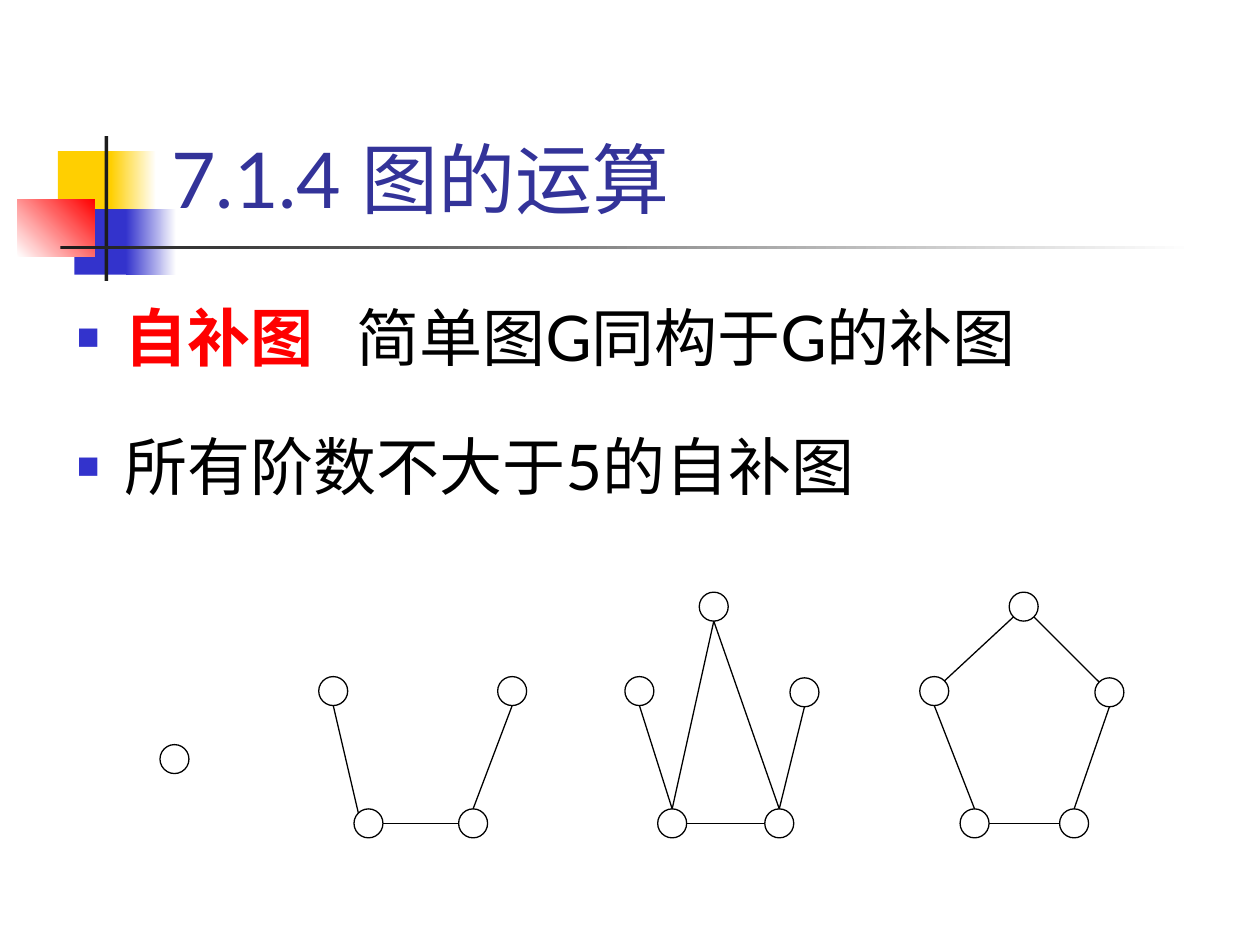
from dataclasses import dataclass

from lxml.etree import SubElement
from pptx import Presentation
from pptx.dml.color import RGBColor
from pptx.enum.shapes import MSO_CONNECTOR, MSO_SHAPE
from pptx.enum.text import MSO_ANCHOR, MSO_AUTO_SIZE, PP_ALIGN
from pptx.oxml.ns import qn
from pptx.util import Pt

SCALE = 9144  # EMU in one px, 100 px to the inch


@dataclass(frozen=True)
class Theme:
    font: str = "Lato"
    head: str = "333399"
    text: str = "000000"
    key: str = "FF0000"
    gold: str = "FFCF01"
    blue: str = "3333CC"
    dark: str = "1C1C1C"
    white: str = "FFFFFF"
    head_size: int = 44
    text_size: int = 36
    line: float = 0.75


THEME = Theme()
DOT = 23
# Points on the rim of a dot, as shares of its width and height
RIM = {
    "n": (0.5, 0), "s": (0.5, 1), "w": (0, 0.5), "e": (1, 0.5),
    "nw": (0.15, 0.15), "ne": (0.85, 0.15),
    "sw": (0.15, 0.85), "se": (0.85, 0.85),
}


def px(*nums):
    return [round(n * SCALE) for n in nums]


def tint(hue):
    return RGBColor.from_string(hue)


def shape(slide, kind, box):
    item = slide.shapes.add_shape(kind, *px(*box))
    item.shadow.inherit = False
    return item


def block(slide, box, *hues, angle=0):
    """Add a rectangle, plain for one hue and shaded for two."""
    item = shape(slide, MSO_SHAPE.RECTANGLE, box)
    item.line.fill.background()
    if len(hues) == 1:
        item.fill.solid()
        item.fill.fore_color.rgb = tint(hues[0])
        return
    item.fill.gradient()
    item.fill.gradient_angle = angle
    for stop, hue in zip(item.fill.gradient_stops, hues):
        stop.color.rgb = tint(hue)


def emblem(slide, left, top):
    t = THEME
    parts = [
        ((32, 12, 48, 52), (t.gold,), 0),
        ((74, 12, 36, 52), (t.gold, t.white), 0),
        ((45, 58, 46, 52), (t.blue,), 0),
        ((86, 58, 40, 52), (t.blue, t.white), 0),
        ((0, 50, 61, 46), (t.white, t.key), 45),
        ((69, 0, 3, 115), (t.dark,), 0),
        ((34, 87, 900, 3), (t.dark, t.white), 0),
    ]
    for (x, y, w, h), hues, angle in parts:
        block(slide, (left + x, top + y, w, h), *hues, angle=angle)


def place(holder, box, anchor):
    """Move a placeholder to the box, in front of what is drawn so far."""
    holder.left, holder.top, holder.width, holder.height = px(*box)
    holder._element.getparent().append(holder._element)
    frame = holder.text_frame
    frame.word_wrap = True
    frame.auto_size = MSO_AUTO_SIZE.NONE
    frame.vertical_anchor = anchor
    return frame


def write(para, text, size, hue, bold=False):
    run = para.add_run()
    run.text = text
    run.font.name = THEME.font
    run.font.size = Pt(size)
    run.font.bold = bold
    run.font.color.rgb = tint(hue)


def heading(slide, box, text):
    para = place(slide.shapes.title, box, MSO_ANCHOR.BOTTOM).paragraphs[0]
    para.alignment = PP_ALIGN.LEFT
    write(para, text, THEME.head_size, THEME.head)


def bullet(para):
    props = para._p.get_or_add_pPr()
    indent = px(38)[0]
    props.set("marL", str(indent))
    props.set("indent", str(-indent))
    color = SubElement(props, qn("a:buClr"))
    SubElement(color, qn("a:srgbClr"), val=THEME.blue)
    SubElement(props, qn("a:buSzPct"), val="60000")
    SubElement(props, qn("a:buChar"), char="■")


def points(slide, box, items):
    frame = place(slide.placeholders[1], box, MSO_ANCHOR.TOP)
    for i, runs in enumerate(items):
        para = frame.add_paragraph() if i else frame.paragraphs[0]
        bullet(para)
        para.line_spacing = 1.5
        para.space_before = Pt(9 if i else 0)
        for text, hue, bold in runs:
            write(para, text, THEME.text_size, hue, bold)


def stroke(line):
    line.color.rgb = tint(THEME.text)
    line.width = Pt(THEME.line)


def graph(slide, left, top, dots, links=()):
    """Draw named dots, and links given as (dot, rim point, dot, rim point)."""
    for x, y in dots.values():
        dot = shape(slide, MSO_SHAPE.OVAL, (left + x, top + y, DOT, DOT))
        dot.fill.solid()
        dot.fill.fore_color.rgb = tint(THEME.white)
        stroke(dot.line)

    def spot(name, side):
        x, y = dots[name]
        dx, dy = RIM[side]
        return px(left + x + dx * DOT, top + y + dy * DOT)

    for start, out, end, into in links:
        edge = slide.shapes.add_connector(
            MSO_CONNECTOR.STRAIGHT, *spot(start, out), *spot(end, into))
        stroke(edge.line)
        SubElement(edge._element.spPr, qn("a:effectLst"))


def graphs(slide, left, top):
    base = ("c", "e", "d", "w")
    graph(slide, left, top + 121, {"a": (0, 0)})
    graph(slide, left + 126, top + 67,
          {"a": (0, 0), "b": (142, 0), "c": (28, 105), "d": (111, 105)},
          [("a", "s", "c", "nw"), ("b", "s", "d", "n"), base])
    sides = [("a", "s", "c", "n"), ("b", "s", "d", "n"), base]
    graph(slide, left + 369, top,
          {"top": (59, 0), "a": (0, 67), "b": (131, 68),
           "c": (26, 172), "d": (111, 172)},
          sides + [("top", "s", "c", "n"), ("top", "s", "d", "n")])
    graph(slide, left + 603, top,
          {"top": (71, 0), "a": (0, 67), "b": (139, 68),
           "c": (32, 172), "d": (111, 172)},
          sides + [("top", "sw", "a", "ne"), ("top", "se", "b", "nw")])


def main():
    deck = Presentation()
    deck.slide_width, deck.slide_height = px(1000, 750)
    slide = deck.slides.add_slide(deck.slide_layouts[1])
    emblem(slide, 14, 108)
    heading(slide, (126, 23, 852, 160), "7.1.4 图的运算")
    points(slide, (51, 202, 949, 548), [
        [("自补图   ", THEME.key, True),
         ("简单图G同构于G的补图", THEME.text, False)],
        [("所有阶数不大于5的自补图", THEME.text, False)],
    ])
    graphs(slide, 127, 470)
    deck.save("out.pptx")


if __name__ == "__main__":
    main()
